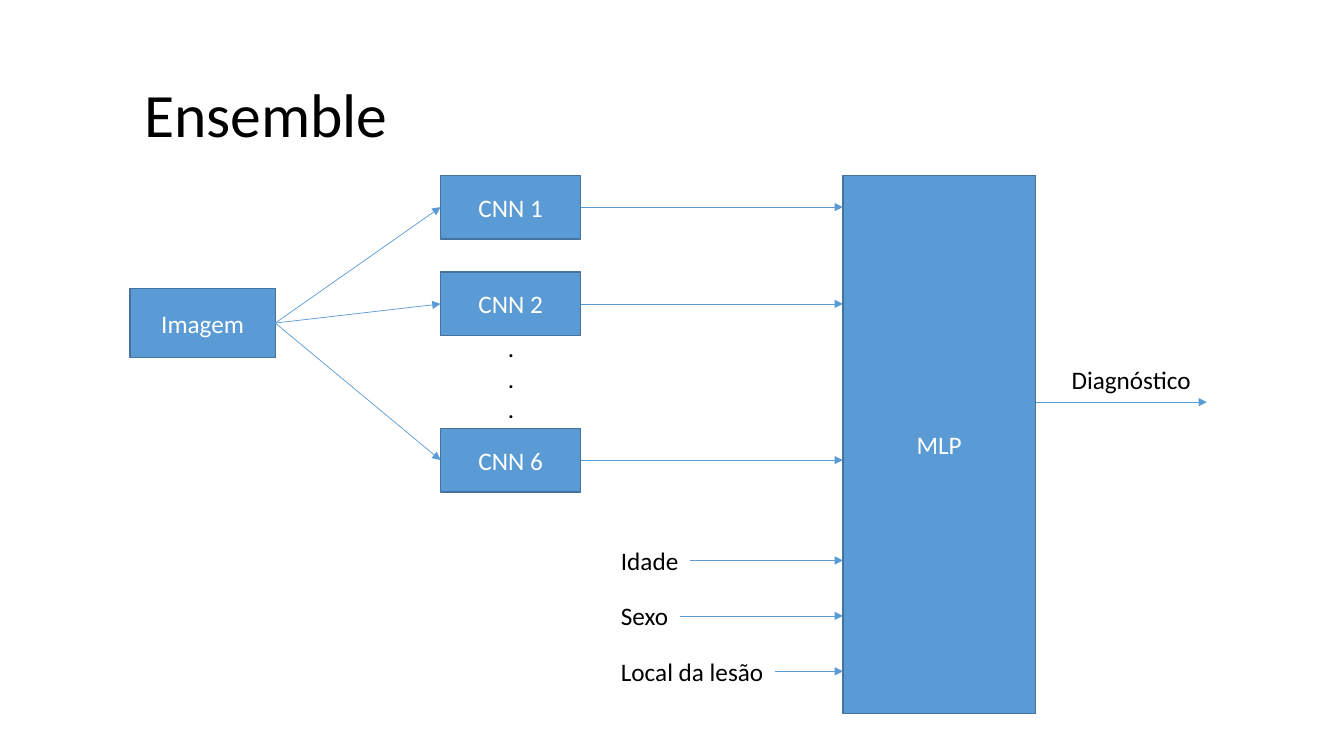
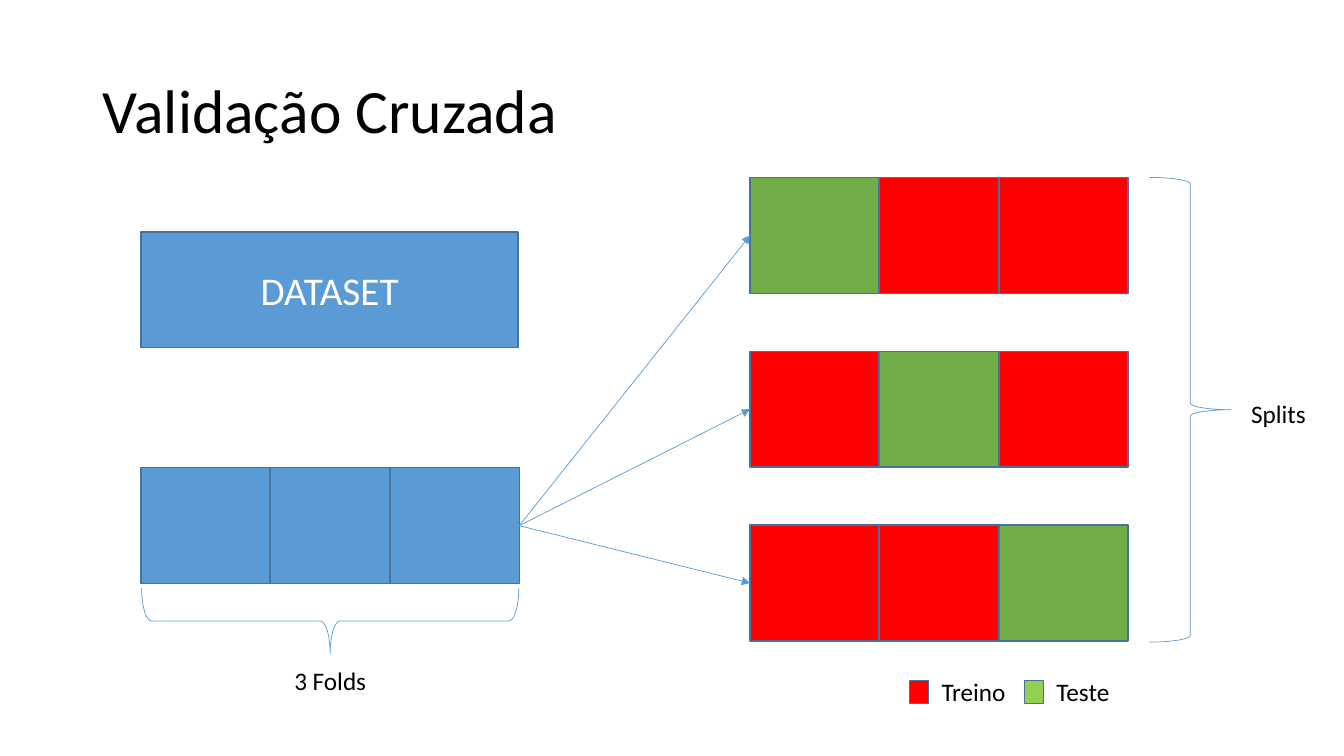
"""Build two slides on a CNN ensemble and its cross-validation."""
from dataclasses import dataclass

from lxml.etree import SubElement
from pptx import Presentation
from pptx.dml.color import RGBColor as Color
from pptx.enum.shapes import MSO_CONNECTOR as Connector, MSO_SHAPE as Preset
from pptx.enum.text import MSO_ANCHOR as Anchor, MSO_AUTO_SIZE as AutoSize, PP_ALIGN as Align
from pptx.oxml.ns import qn
from pptx.util import Inches, Pt


@dataclass(frozen=True)
class Theme:
    font: str = "Calibri"
    text: Color = Color(0, 0, 0)
    light: Color = Color(255, 255, 255)
    blue: Color = Color(0x5B, 0x9B, 0xD5)
    border: Color = Color(0x43, 0x73, 0x9E)
    train: Color = Color(255, 0, 0)
    test: Color = Color(0x70, 0xAD, 0x47)
    test_key: Color = Color(0x92, 0xD0, 0x50)
    title_size: int = 44
    banner_size: int = 28
    body_size: int = 18
    border_width: float = 1
    line_width: float = 0.5


theme = Theme()


def add_box(slide, left, top, width, height, text="", fill=None, size=theme.body_size):
    area = [Inches(value) for value in (left, top, width, height)]
    if fill is None:
        shape = slide.shapes.add_textbox(*area)
        shape.text_frame.word_wrap = False
    else:
        shape = slide.shapes.add_shape(Preset.RECTANGLE, *area)
        shape.shadow.inherit = False
        shape.fill.solid()
        shape.fill.fore_color.rgb = fill
        shape.line.color.rgb = theme.border
        shape.line.width = Pt(theme.border_width)
        shape.text_frame.vertical_anchor = Anchor.MIDDLE
    for number, words in enumerate(text.split("\n") if text else []):
        frame = shape.text_frame
        paragraph = frame.add_paragraph() if number else frame.paragraphs[0]
        paragraph.alignment = Align.LEFT if fill is None else Align.CENTER
        run = paragraph.add_run()
        run.text = words
        run.font.name = theme.font
        run.font.size = Pt(size)
        run.font.color.rgb = theme.text if fill is None else theme.light
    return shape


def add_arrow(slide, begin, end, source=None, target=None):
    points = [Inches(value) for value in (*begin, *end)]
    arrow = slide.shapes.add_connector(Connector.STRAIGHT, *points)
    if source is not None:
        arrow.begin_connect(source, 3)
    if target is not None:
        arrow.end_connect(target, 1)
    arrow.line.color.rgb = theme.blue
    arrow.line.width = Pt(theme.line_width)
    SubElement(arrow.line._get_or_add_ln(), qn("a:tailEnd"), type="triangle")
    SubElement(arrow._element.spPr, qn("a:effectLst"))


presentation = Presentation()
presentation.slide_width = Inches(13.33)
presentation.slide_height = Inches(7.5)

slides = []
for heading, left, top, width, height, spacing in (
    ("Ensemble", 1.33, 0.7, 8, 0.84, 1.0),
    ("Validação Cruzada", 0.92, 0.4, 11.5, 1.45, 0.9),
):
    slide = presentation.slides.add_slide(presentation.slide_layouts[5])
    title = slide.shapes.title
    title.left, title.top = Inches(left), Inches(top)
    title.width, title.height = Inches(width), Inches(height)
    title.text_frame.auto_size = AutoSize.NONE
    title.text_frame.vertical_anchor = Anchor.MIDDLE
    paragraph = title.text_frame.paragraphs[0]
    paragraph.alignment = Align.LEFT
    paragraph.line_spacing = spacing
    run = paragraph.add_run()
    run.text = heading
    run.font.name = theme.font
    run.font.size = Pt(theme.title_size)
    run.font.color.rgb = theme.text
    slides.append(slide)
ensemble, validation = slides

mlp_left = 8.36
add_box(ensemble, mlp_left, 1.74, 1.91, 5.34, "MLP", theme.blue)
image_box = add_box(ensemble, 1.29, 2.86, 1.44, 0.69, "Imagem", theme.blue)
for number, top in ((1, 1.74), (2, 2.7), (6, 4.25)):
    network = add_box(ensemble, 4.37, top, 1.39, 0.63, f"CNN {number}", theme.blue)
    middle = top + 0.63 / 2
    add_arrow(ensemble, (2.73, 3.2), (4.37, middle), image_box, network)
    add_arrow(ensemble, (5.76, middle), (mlp_left, middle), network)
add_box(ensemble, 4.94, 3.25, 0.27, 1.01, ".\n.\n.")

for row, (text, width) in enumerate((("Idade", 0.78), ("Sexo", 0.68), ("Local da lesão", 1.63))):
    top = 5.36 + 0.55 * row
    label = add_box(ensemble, 6.06, top, width, 0.4, text)
    add_arrow(ensemble, (6.06 + width, top + 0.2), (mlp_left, top + 0.2), label)
add_box(ensemble, 10.53, 3.57, 1.4, 0.4, "Diagnóstico")
add_arrow(ensemble, (10.28, 3.99), (11.97, 3.99))

fold_columns = ((0, 1.28), (1.28, 1.19), (2.47, 1.28))
fold_height = 1.15
add_box(validation, 1.4, 2.3, 3.74, fold_height, "DATASET", theme.blue, theme.banner_size)
for offset, width in fold_columns:
    last_fold = add_box(validation, 1.4 + offset, 4.64, width, fold_height, fill=theme.blue)

for split in range(3):
    top = 1.76 + 3.45 * split / 2
    cells = [
        add_box(validation, 7.44 + offset, top, width, fold_height,
                fill=theme.test if fold == split else theme.train)
        for fold, (offset, width) in enumerate(fold_columns)
    ]
    add_arrow(validation, (5.15, 5.21), (7.44, top + fold_height / 2), last_fold, cells[0])

for preset, left, top, width, height, rotation, curve in (
    (Preset.LEFT_BRACE, 2.95, 4.29, 0.65, 3.74, 270, 0.15),
    (Preset.RIGHT_BRACE, 11.4, 1.76, 0.81, 4.61, 0, 0.08),
):
    brace = validation.shapes.add_shape(
        preset, Inches(left), Inches(top), Inches(width), Inches(height))
    brace.rotation = rotation
    brace.adjustments[0] = curve
    brace.shadow.inherit = False
    brace.fill.background()
    brace.line.color.rgb = theme.blue
    brace.line.width = Pt(theme.line_width)
add_box(validation, 2.82, 6.55, 0.92, 0.4, "3 Folds")
add_box(validation, 12.31, 3.9, 0.75, 0.4, "Splits")

for left, width, text, color in (
    (9.02, 0.84, "Treino", theme.train),
    (10.16, 0.73, "Teste", theme.test_key),
):
    add_box(validation, left, 6.75, 0.19, 0.23, fill=color)
    add_box(validation, left + 0.22, 6.66, width, 0.4, text)

presentation.save("out.pptx")
